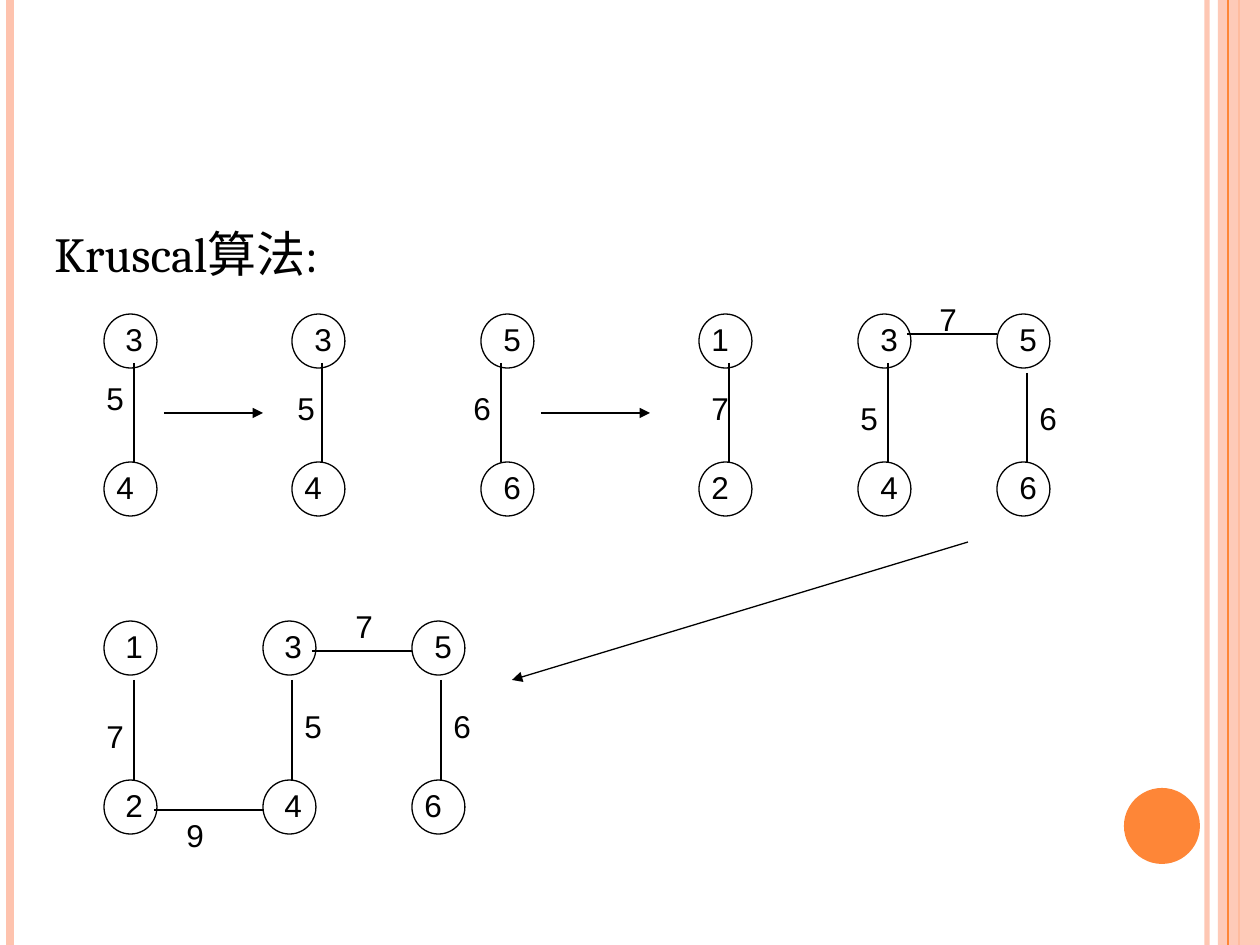
from pptx import Presentation, util as u
from pptx.dml.color import RGBColor
from pptx.enum import shapes, text
from pptx.oxml import parse_xml
from pptx.oxml.ns import nsdecls, qn

WIDTH, HEIGHT = 1260, 945
PX = 914400 / 126
BLACK = RGBColor(0x00, 0x00, 0x00)
PEACH = RGBColor(0xFE, 0xC3, 0xAE)
ORANGE = RGBColor(0xFE, 0x86, 0x37)
NODE_W, NODE_H = 53, 54
LABEL_H = 50


def px(length):
    return u.Emu(round(length * PX))


def set_alpha(fill, percent):
    color = fill._xPr.find(".//" + qn("a:srgbClr"))
    color.append(parse_xml(f'<a:alpha {nsdecls("a")} val="{percent * 1000}"/>'))


def add_line(slide, x1, y1, x2, y2, color=BLACK, weight=0.75, arrow=False):
    line = slide.shapes.add_connector(
        shapes.MSO_CONNECTOR.STRAIGHT, px(x1), px(y1), px(x2), px(y2))
    line.line.color.rgb = color
    line.line.width = u.Pt(weight)
    if arrow:
        line.line._get_or_add_ln().append(
            parse_xml(f'<a:tailEnd {nsdecls("a")} type="triangle"/>'))
    line._element.spPr.append(parse_xml(f'<a:effectLst {nsdecls("a")}/>'))
    return line


def add_plain_shape(slide, kind, left, top, width, height, fill=None):
    shape = slide.shapes.add_shape(kind, px(left), px(top), px(width), px(height))
    shape.shadow.inherit = False
    if fill is None:
        shape.fill.background()
        shape.line.color.rgb = BLACK
        shape.line.width = u.Pt(0.75)
    else:
        shape.fill.solid()
        shape.fill.fore_color.rgb = fill
        shape.line.fill.background()
    return shape


def add_text(slide, words, left, top, width, height, size, font):
    frame = slide.shapes.add_textbox(
        px(left), px(top), px(width), px(height)).text_frame
    frame.word_wrap = True
    paragraph = frame.paragraphs[0]
    paragraph.text = words
    paragraph.font.size = u.Pt(size)
    paragraph.font.name = font
    paragraph.font.color.rgb = BLACK
    return frame


def add_digit(slide, digit, left, top, width):
    frame = add_text(slide, digit, left, top, width, LABEL_H, 18, "Arial")
    frame.auto_size = text.MSO_AUTO_SIZE.SHAPE_TO_FIT_TEXT


def add_side_bands(slide):
    pale = add_line(slide, 1207, 0, 1207, HEIGHT, PEACH, 3)
    set_alpha(pale.line.fill, 93)
    add_line(slide, 10, 0, 10, HEIGHT, PEACH, 4.5)
    add_line(slide, 1239, 0, 1239, HEIGHT, ORANGE, 1.5)
    band = add_plain_shape(slide, shapes.MSO_SHAPE.RECTANGLE,
                           1218, 0, 42, HEIGHT, PEACH)
    set_alpha(band.fill, 87)
    add_line(slide, 1228, 0, 1228, HEIGHT, ORANGE)
    add_plain_shape(slide, shapes.MSO_SHAPE.OVAL, 1124, 788, 76, 76, ORANGE)


def add_forest(slide, left, top, nodes, edges, weights):
    """nodes: digit, x, y, label indent, label width; weights: digit, x, y, width."""
    for _, x, y, _, _ in nodes:
        add_plain_shape(slide, shapes.MSO_SHAPE.OVAL,
                        left + x, top + y, NODE_W, NODE_H)
    for x1, y1, x2, y2 in edges:
        add_line(slide, left + x1, top + y1, left + x2, top + y2)
    for digit, x, y, indent, width in nodes:
        add_digit(slide, digit, left + x + indent, top + y, width)
    for digit, x, y, width in weights:
        add_digit(slide, digit, left + x, top + y, width)


def main():
    deck = Presentation()
    deck.slide_width, deck.slide_height = px(WIDTH), px(HEIGHT)
    slide = deck.slides.add_slide(deck.slide_layouts[6])

    add_side_bands(slide)
    add_text(slide, "Kruscal算法:", 42, 217, 1177, 592, 28, "Cambria")

    # First edge chosen
    add_forest(slide, 104, 314,
               [("3", 0, 0, 9, 40), ("4", 0, 148, 0, 40)],
               [(30, 49, 30, 148)],
               [("5", -10, 59, 30)])
    # Two separate edges
    add_forest(slide, 292, 314,
               [("3", 0, 0, 10, 40), ("4", 0, 148, 0, 40),
                ("5", 189, 0, 10, 30), ("6", 189, 148, 10, 39)],
               [(30, 49, 30, 148), (209, 49, 209, 148)],
               [("5", -7, 69, 25), ("6", 169, 69, 49)])
    # Two components
    add_forest(slide, 699, 314,
               [("1", 0, 0, 0, 39), ("2", 0, 148, 0, 49),
                ("3", 159, 0, 10, 39), ("4", 159, 148, 10, 39),
                ("5", 298, 0, 10, 39), ("6", 298, 148, 10, 39)],
               [(30, 49, 30, 148), (208, 20, 298, 20),
                (189, 49, 189, 148), (328, 59, 328, 148)],
               [("7", 0, 69, 59), ("5", 149, 79, 49),
                ("7", 228, -20, 69), ("6", 328, 79, 49)])
    # Finished spanning tree
    add_forest(slide, 104, 621,
               [("1", 0, 0, 9, 40), ("2", 0, 159, 9, 40),
                ("3", 159, 0, 9, 40), ("4", 159, 159, 9, 40),
                ("5", 308, 0, 10, 40), ("6", 308, 159, 0, 59)],
               [(30, 59, 30, 159), (50, 189, 159, 189), (188, 59, 188, 159),
                (208, 30, 308, 30), (337, 59, 337, 159)],
               [("7", -10, 90, 49), ("9", 70, 189, 59), ("5", 188, 80, 30),
                ("7", 239, -20, 69), ("6", 337, 80, 49)])

    # Arrows from step to step
    for ends in [(164, 413, 263, 413), (541, 413, 650, 413), (968, 542, 512, 680)]:
        add_line(slide, *ends, arrow=True)

    deck.save("out.pptx")


if __name__ == "__main__":
    main()
